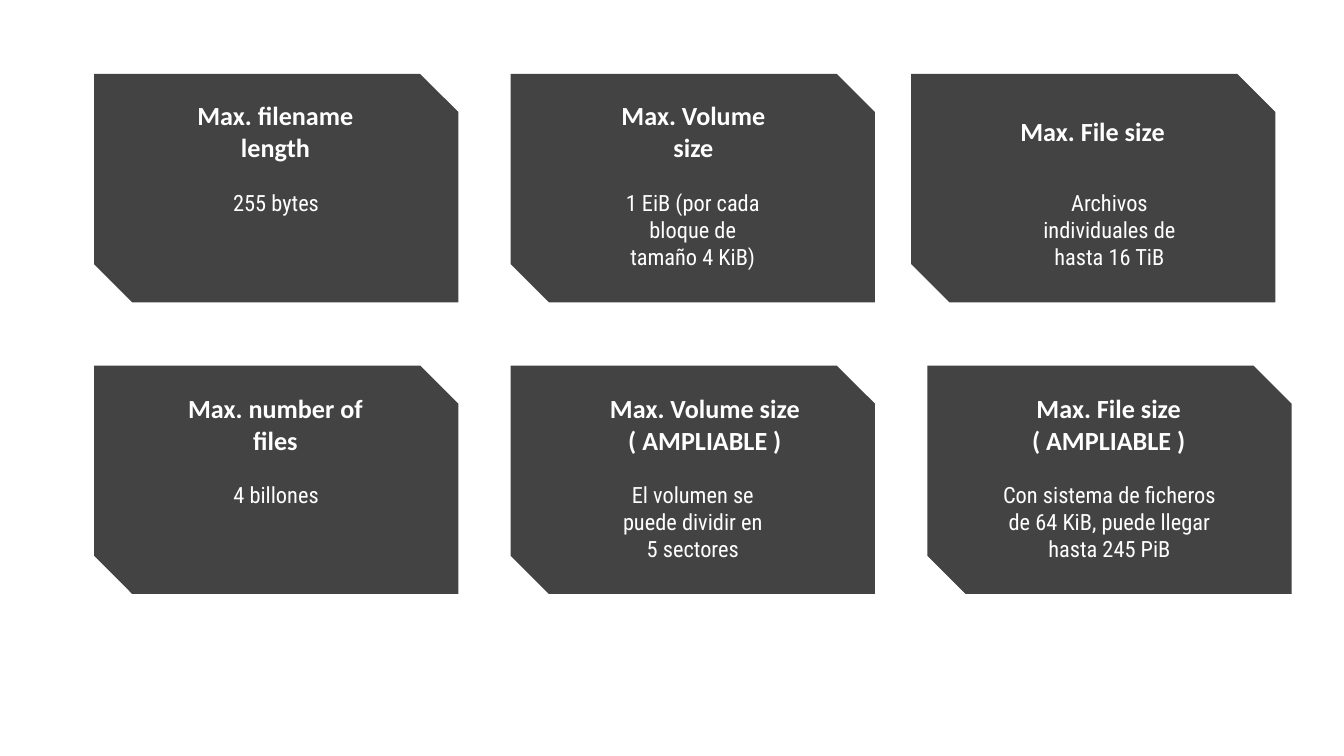
import pptx
import pptx.dml.color
import pptx.enum.shapes
import pptx.enum.text
import pptx.util

Inches = pptx.util.Inches
Anchor = pptx.enum.text.MSO_ANCHOR


class CardSlide:
    """Style and current page for a slide of snipped cards."""

    colors = {"card": "434343", "text": "FFFFFF", "page": "FFFFFF"}
    title_style = ("Calibri", 14, True)
    body_style = ("Roboto Condensed", 12, False)
    card_width, card_height = 2.71, 1.7

    def __init__(self, deck):
        self.page = deck.slides.add_slide(deck.slide_layouts[6])
        self.paint(self.page.background.fill, "page")

    def paint(self, fill, name):
        fill.solid()
        fill.fore_color.rgb = pptx.dml.color.RGBColor.from_string(self.colors[name])

    def panel(self, left, top):
        shape = self.page.shapes.add_shape(
            pptx.enum.shapes.MSO_SHAPE.SNIP_2_DIAG_RECTANGLE,
            Inches(left), Inches(top), Inches(self.card_width), Inches(self.card_height))
        shape.adjustments[0] = 0
        shape.adjustments[1] = 0.167
        shape.shadow.inherit = False
        self.paint(shape.fill, "card")
        shape.line.fill.background()

    def text(self, left, top, width, height, lines, style, anchor):
        box = self.page.shapes.add_textbox(
            Inches(left), Inches(top), Inches(width), Inches(height))
        frame = box.text_frame
        frame.word_wrap = True
        frame.vertical_anchor = anchor
        frame.margin_left = frame.margin_right = Inches(0.1)
        frame.margin_top = frame.margin_bottom = Inches(0.1)
        for index, line in enumerate(lines):
            para = frame.add_paragraph() if index else frame.paragraphs[0]
            para.alignment = pptx.enum.text.PP_ALIGN.CENTER
            span = para.add_run()
            span.text = line
            name, size, span.font.bold = style
            span.font.name = name
            span.font.size = pptx.util.Pt(size)
            self.paint(span.font.fill, "text")

    def card(self, left, top, title, body, title_x=0.57, title_y=0.33,
             title_width=1.56, body_x=0.72, body_width=1.27):
        self.panel(left, top)
        self.text(left + title_x, top + title_y, title_width, 0.43,
                  title, self.title_style, Anchor.BOTTOM)
        self.text(left + body_x, top + 0.76, body_width, 0.68,
                  [body], self.body_style, Anchor.TOP)


def main():
    deck = pptx.Presentation()
    deck.slide_width = Inches(10)
    deck.slide_height = deck.slide_width * 9 // 16
    slide = CardSlide(deck)
    first, second, upper, lower = 0.7, 3.8, 0.55, 2.72
    extendable = "( AMPLIABLE )"

    slide.card(second, upper, ["Max. Volume size"],
               "1 EiB (por cada bloque de tamaño 4 KiB)", title_x=0.58)
    slide.card(6.78, upper, ["Max. File size"],
               "Archivos individuales de hasta 16 TiB", title_y=0.21, body_x=0.84)
    slide.card(first, upper, ["Max. filename length"], "255 bytes")
    slide.card(first, lower, ["Max. number of files"], "4 billones", title_y=0.34)
    slide.card(6.9, lower, ["Max. File size", extendable],
               "Con sistema de ficheros de 64 KiB, puede llegar hasta 245 PiB",
               title_y=0.34, body_x=0.45, body_width=1.81)
    slide.card(second, lower, ["Max. Volume size", extendable],
               "El volumen se puede dividir en 5 sectores",
               title_x=0.42, title_y=0.34, title_width=2.05)
    deck.save("out.pptx")


if __name__ == "__main__":
    main()
